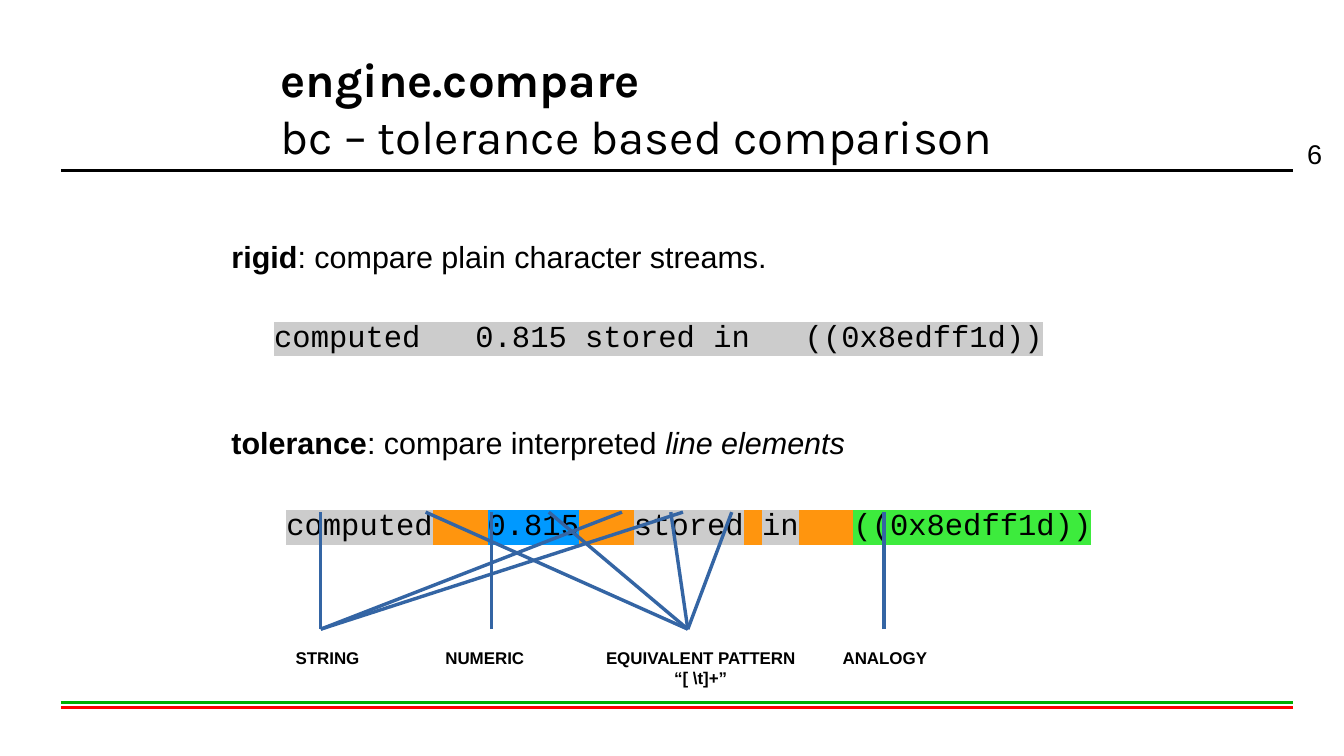
"""Build the slide on tolerance based comparison."""
from lxml.etree import SubElement
from pptx import Presentation
from pptx.dml.color import RGBColor
from pptx.enum.shapes import MSO_CONNECTOR
from pptx.enum.text import MSO_ANCHOR, PP_ALIGN
from pptx.oxml.ns import qn
from pptx.util import Inches, Pt

BLACK = RGBColor(0x00, 0x00, 0x00)
GREEN = RGBColor(0x00, 0xAE, 0x00)
RED = RGBColor(0xFF, 0x00, 0x00)
LINK_BLUE = RGBColor(0x34, 0x65, 0xA4)
STRING = RGBColor(0xCC, 0xCC, 0xCC)
PATTERN = RGBColor(0xFF, 0x95, 0x0E)
NUMERIC = RGBColor(0x00, 0x99, 0xFF)
ANALOGY = RGBColor(0x3D, 0xEB, 0x3D)

SANS, MONO, DISPLAY = "Arial", "Courier New", "Karla"
SLIDE_WIDTH, SLIDE_HEIGHT = 11.02, 6.2
RULE_LEFT, RULE_RIGHT = 0.5, 10.6
TOKEN_ROW, FOOT_ROW, LABEL_ROW = 4.2, 5.16, 5.26

BOLD, ITALIC = {"bold": True}, {"italic": True}
TITLE = [
    {"runs": [("engine.compare", BOLD)]},
    {"runs": [("bc – tolerance based comparison", {})]},
]
RULES = [(1.4, BLACK), (5.76, GREEN), (5.8, RED)]
TOKENS = [
    ("computed", STRING), ("   ", PATTERN), ("0.815", NUMERIC), ("   ", PATTERN),
    ("stored", STRING), (" ", PATTERN), ("in", STRING), ("   ", PATTERN),
    ("((0x8edff1d))", ANALOGY),
]
BODY = [
    {"runs": [("rigid", BOLD), (": compare plain character streams.", {})]},
    {
        "runs": [("computed   0.815 stored in   ((0x8edff1d))", {"name": MONO, "highlight": STRING})],
        "before": 25, "indent": 0.35,
    },
    {
        "runs": [("tolerance", BOLD), (": compare interpreted ", {}), ("line elements", ITALIC)],
        "before": 42,
    },
    {
        "runs": [(token, {"name": MONO, "highlight": color}) for token, color in TOKENS],
        "before": 26, "indent": 0.45,
    },
]
CATEGORIES = [
    {"lines": ["STRING"], "left": 2.2, "width": 0.97, "foot": 2.63, "tokens": [2.63, 5.1, 5.6]},
    {"lines": ["NUMERIC"], "left": 3.49, "width": 0.97, "foot": 4.03, "tokens": [4.03]},
    {
        "lines": ["EQUIVALENT PATTERN", "“[ \\t]+”"],
        "left": 4.67, "width": 2.15, "foot": 5.64, "tokens": [3.49, 4.5, 5.5, 6],
    },
    {"lines": ["ANALOGY"], "left": 6.61, "width": 1.29, "foot": 7.25, "tokens": [7.25]},
]


def add_run(paragraph, text, size, name=SANS, bold=False, italic=False, highlight=None):
    run = paragraph.add_run()
    run.text = text
    font = run.font
    font.size, font.bold, font.italic = Pt(size), bold, italic
    font.color.rgb = BLACK
    if highlight is not None:
        marker = SubElement(font._element, qn("a:highlight"))
        SubElement(marker, qn("a:srgbClr")).set("val", str(highlight))
    font.name = name


def add_text(slide, box, paragraphs, size, name=SANS, align=PP_ALIGN.LEFT):
    shape = slide.shapes.add_textbox(*(Inches(length) for length in box))
    frame = shape.text_frame
    frame.word_wrap = True
    for index, content in enumerate(paragraphs):
        paragraph = frame.add_paragraph() if index else frame.paragraphs[0]
        paragraph.alignment = align
        if "before" in content:
            paragraph.space_before = Pt(content["before"])
        if "indent" in content:
            properties = paragraph._p.get_or_add_pPr()
            properties.set("marL", str(Inches(content["indent"])))
            properties.set("indent", "0")
        for text, style in content["runs"]:
            add_run(paragraph, text, size, **{"name": name, **style})
    return frame


def add_line(slide, start, end, color):
    ends = (Inches(length) for length in (*start, *end))
    connector = slide.shapes.add_connector(MSO_CONNECTOR.STRAIGHT, *ends)
    connector.line.color.rgb = color
    connector.line.width = 0
    SubElement(connector._element.spPr, qn("a:effectLst"))


def main():
    presentation = Presentation()
    presentation.slide_width = Inches(SLIDE_WIDTH)
    presentation.slide_height = Inches(SLIDE_HEIGHT)
    slide = presentation.slides.add_slide(presentation.slide_layouts[6])

    title = add_text(slide, (2.3, 0.35, 8, 1.06), TITLE, 28, DISPLAY)
    title.vertical_anchor = MSO_ANCHOR.MIDDLE
    title.margin_left = title.margin_right = title.margin_top = title.margin_bottom = 0

    for row, color in RULES:
        add_line(slide, (RULE_LEFT, row), (RULE_RIGHT, row), color)
    add_text(slide, (9.67, 1.08, 1.27, 0.36), [{"runs": [("6", {})]}], 16, align=PP_ALIGN.RIGHT)
    add_text(slide, (1.8, 1.9, 7.6, 2.7), BODY, 18)

    for category in CATEGORIES:
        for token in category["tokens"]:
            add_line(slide, (category["foot"], FOOT_ROW), (token, TOKEN_ROW), LINK_BLUE)
        lines = [{"runs": [(line, BOLD)]} for line in category["lines"]]
        box = (category["left"], LABEL_ROW, category["width"], 0.1 + 0.17 * len(lines))
        add_text(slide, box, lines, 10, align=PP_ALIGN.CENTER)

    presentation.save("out.pptx")


if __name__ == "__main__":
    main()
